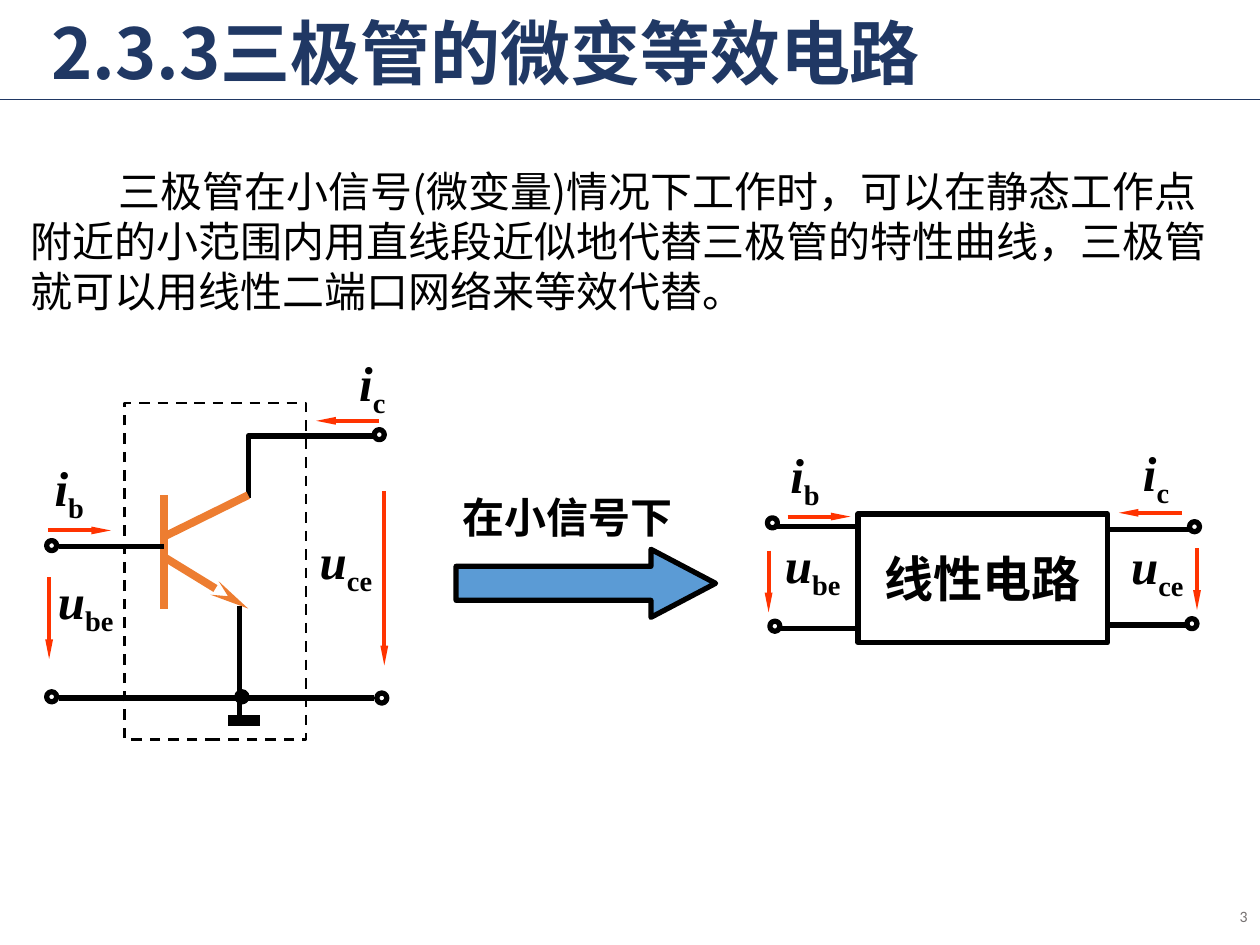
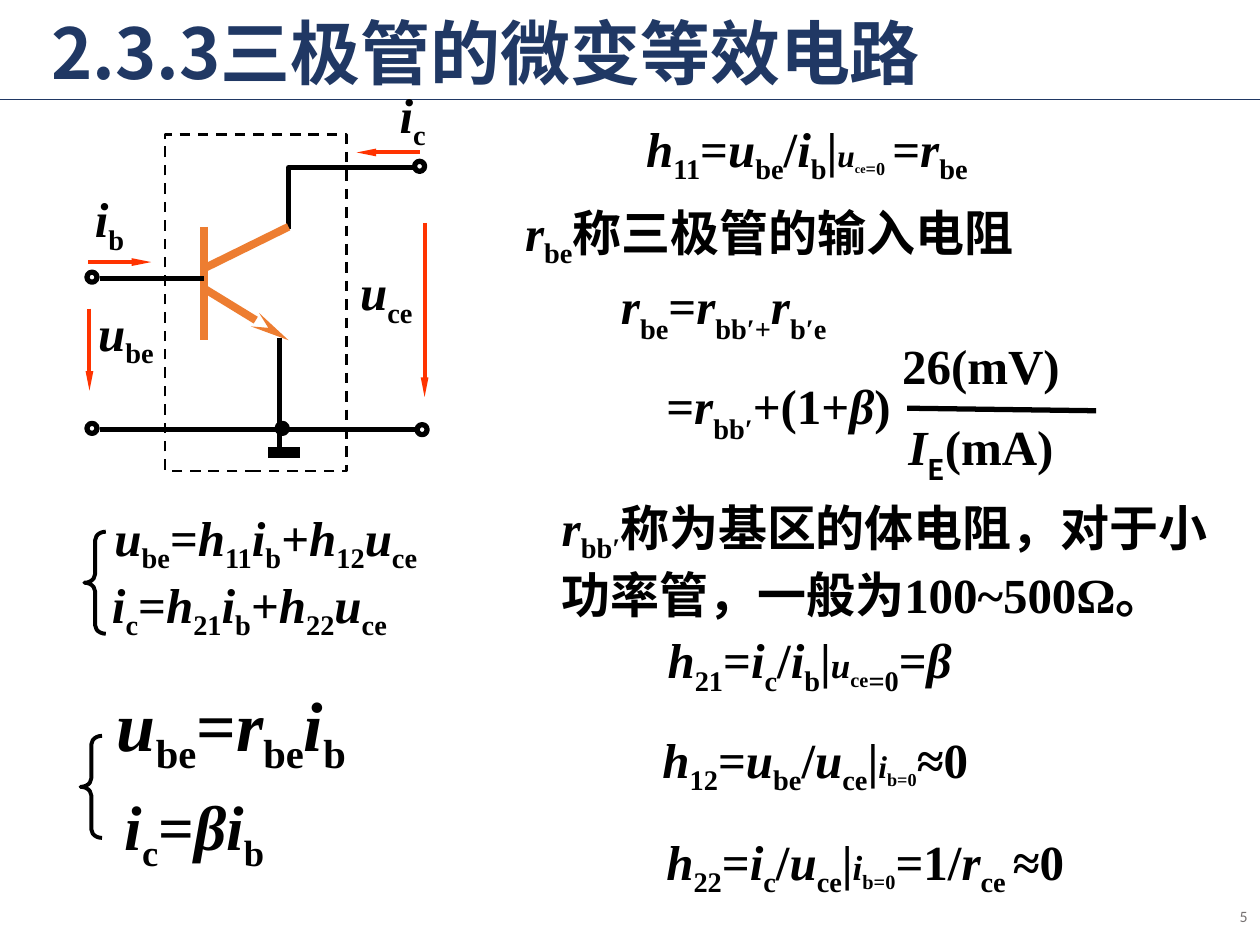
from lxml import etree
from pptx import Presentation, util as u
from pptx.dml.color import RGBColor
from pptx.enum import dml, shapes, text
from pptx.oxml.ns import qn

NAVY, BLACK, WHITE = "203864", "000000", "FFFFFF"
ORANGE, RED, BLUE, GRAY = "ED7D31", "FF3300", "5B9BD5", "767171"
SERIF, SANS = "Times New Roman", "Noto Sans CJK SC"
SHAPE, ALIGN = shapes.MSO_SHAPE, text.PP_ALIGN

TITLE = "2.3.3三极管的微变等效电路"
INTRO = ("三极管在小信号(微变量)情况下工作时，可以在静态工作点附近的小范围内用直线段"
         "近似地代替三极管的特性曲线，三极管就可以用线性二端口网络来等效代替。")

# Markup: * italic, _ subscript, ^ lower subscript, ! sans subscript, @ size, · space
STYLES = {
    "*": {"italic": True},
    "_": {"baseline": -25},
    "^": {"baseline": -30},
    "!": {"baseline": -30, "name": SANS},
}
IB, IC, UBE, UCE = "*i _b", "*i _c", "*u _be", "*u _ce"

TRANSISTOR_LINES = [
    (1.3, 3.93, 1.3, 4.83, ORANGE, 4.5, None),
    (1.3, 4.42, 1.97, 4.83, ORANGE, 4.5, "stealth"),
    (1.3, 4.26, 1.97, 3.93, ORANGE, 4.5, None),
    (1.3, 4.34, 0.47, 4.34, BLACK, 3, None),
    (0.47, 5.54, 2.97, 5.54, BLACK, 3, None),
    (1.81, 5.72, 2.06, 5.72, BLACK, 6, None),
    (1.9, 4.81, 1.9, 5.69, BLACK, 3, None),
    (0.39, 4.58, 0.39, 5.23, RED, 2.25, "triangle"),
    (3.05, 3.9, 3.05, 5.28, RED, 2.25, "triangle"),
    (0.38, 4.21, 0.88, 4.21, RED, 2.25, "triangle"),
    (3.01, 3.34, 2.51, 3.34, RED, 2.25, "triangle"),
]
COLLECTOR_WIRE = [(1.97, 3.95), (1.97, 3.46), (2.97, 3.46)]
TRANSISTOR_NODES = [(0.37, 4.29, WHITE), (2.99, 5.5, WHITE), (2.97, 3.41, WHITE),
                    (0.37, 5.49, WHITE), (1.88, 5.49, BLACK)]
TRANSISTOR_LABELS = [(2.57, 2.78, 0.77, IC), (2.42, 4.19, 0.65, UCE),
                     (0.34, 4.51, 0.68, UBE), (0.32, 3.61, 0.46, IB)]

TWO_PORT_LINES = [
    (6.17, 4.18, 6.81, 4.18, BLACK, 3, None),
    (6.17, 4.99, 6.81, 4.99, BLACK, 3, None),
    (8.79, 4.2, 9.44, 4.2, BLACK, 3, None),
    (8.8, 4.96, 9.45, 4.96, BLACK, 3, None),
    (6.1, 4.37, 6.1, 4.86, RED, 2.25, "triangle"),
    (9.5, 4.35, 9.5, 4.84, RED, 2.25, "triangle"),
    (6.25, 4.1, 6.75, 4.1, RED, 2.25, "triangle"),
    (9.38, 4.07, 8.88, 4.07, RED, 2.25, "triangle"),
]
TWO_PORT_NODES = [(6.09, 4.11, WHITE), (6.11, 4.93, WHITE),
                  (9.42, 4.91, WHITE), (9.44, 4.14, WHITE)]
TWO_PORT_LABELS = [(6.11, 4.22, 0.68, UBE), (8.86, 4.23, 0.65, UCE),
                   (6.16, 3.51, 0.46, IB), (8.79, 3.49, 0.77, IC)]

FORMULAS = [
    (0.81, 3.98, 3.1, 0.57, 28, "*u _be = *h _11 *i _b + *h _12 *u _ce"),
    (0.79, 4.51, 3.05, 0.57, 28, "*i _c = *h _21 *i _b + *h _22 *u _ce"),
    (0.83, 5.36, 3.1, 0.77, 40, "*u _be = *r _be *i _b"),
    (0.89, 6.2, 3.05, 0.71, 36, "*i _c = *βi _b"),
    (5.03, 0.89, 3.35, 0.57, 28,
     "*h _11 = *u _be / *i _b | *u@18 ^ce@12 _=0@18 _· = *r _be"),
    (4.07, 1.56, 4.27, 0.57, 28, "*r _be 称三极管的输入电阻"),
    (4.83, 2.14, 3.08, 0.57, 28, "*r ^be = *r ^bb′+ *r ^b′e"),
    (5.19, 2.93, 3.08, 0.57, 28, "= *r ^bb′ +(1+ *β )"),
    (4.36, 3.9, 5.45, 1.03, 28,
     "*r _bb′ 称为基区的体电阻，对于小功率管，一般为100~500Ω。"),
    (5.2, 4.95, 4.24, 0.57, 28, "*h _21 = *i _c / *i _b | *u@20 _ce@20 _=0 = *β"),
    (5.16, 5.74, 4.24, 0.57, 28, "*h _12 = *u _be / *u _ce | *i@18 _b=0@18 ≈0"),
    (5.19, 6.55, 4.24, 0.57, 28,
     "*h _22 = *i _c / *u _ce | *i@20 _b=0@20 =1/ *r _ce· ≈0"),
]
FRACTION = [(2.61, "26(mV)"), (3.26, "*I !E (mA)")]
BRACES = [(0.67, 4.22), (0.64, 5.84)]


def rgb(value):
    return RGBColor.from_string(value)


def stroke(line, color, width, dash=None):
    line.color.rgb = rgb(color)
    line.width = u.Pt(width)
    if dash:
        line.dash_style = dash


def add_run(p, content, baseline=0, **values):
    r = p.add_run()
    r.text = content
    color = values.pop("color")
    for name, value in values.items():
        setattr(r.font, name, value)
    r.font.color.rgb = rgb(color)
    rPr = r._r.get_or_add_rPr()
    if baseline:
        rPr.set("baseline", str(baseline * 1000))
    etree.SubElement(rPr, qn("a:ea")).set("typeface", SANS)


def add_markup(p, markup, size):
    for token in markup.split(" "):
        values = {"name": SERIF, "bold": True, "color": BLACK}
        if token[0] in STYLES:
            values.update(STYLES[token[0]])
            token = token[1:]
        content, _, own_size = token.partition("@")
        values["size"] = u.Pt(int(own_size or size))
        add_run(p, content.replace("·", " "), **values)


def add_box(s, x, y, w, h, align=ALIGN.LEFT, middle=False, wrap=True):
    tf = s.shapes.add_textbox(*map(u.Inches, (x, y, w, h))).text_frame
    tf.word_wrap = wrap
    tf.vertical_anchor = text.MSO_ANCHOR.MIDDLE if middle else text.MSO_ANCHOR.TOP
    p = tf.paragraphs[0]
    p.alignment = align
    return p


def add_line(s, x1, y1, x2, y2, color, width, tail=None):
    c = s.shapes.add_connector(shapes.MSO_CONNECTOR.STRAIGHT,
                               *map(u.Inches, (x1, y1, x2, y2)))
    stroke(c.line, color, width)
    if tail:
        end = etree.SubElement(c.line._get_or_add_ln(), qn("a:tailEnd"))
        for name, value in {"type": tail, "w": "sm", "len": "lg"}.items():
            end.set(name, value)
    etree.SubElement(c._element.spPr, qn("a:effectLst"))


def add_shape(s, kind, x, y, w, h, fill=None, width=3, dash=None, adj=()):
    sp = s.shapes.add_shape(kind, *map(u.Inches, (x, y, w, h)))
    sp.shadow.inherit = False
    if fill:
        sp.fill.solid()
        sp.fill.fore_color.rgb = rgb(fill)
    else:
        sp.fill.background()
    stroke(sp.line, BLACK, width, dash)
    for i, value in enumerate(adj):
        sp.adjustments[i] = value
    return sp


def add_circuit(s, lines, nodes, labels, dx=0, dy=0):
    for x1, y1, x2, y2, *look in lines:
        add_line(s, x1 + dx, y1 + dy, x2 + dx, y2 + dy, *look)
    for x, y, fill in nodes:
        add_shape(s, SHAPE.OVAL, x + dx, y + dy, 0.08, 0.08, fill)
    for x, y, w, markup in labels:
        p = add_box(s, x + dx, y + dy, w, 0.57, ALIGN.CENTER, True, False)
        add_markup(p, markup, 28)


def add_transistor(s, dx=0, dy=0):
    wire = [(u.Inches(x + dx), u.Inches(y + dy)) for x, y in COLLECTOR_WIRE]
    builder = s.shapes.build_freeform(*wire[0])
    builder.add_line_segments(wire[1:], close=False)
    sp = builder.convert_to_shape()
    sp.shadow.inherit = False
    sp.fill.background()
    stroke(sp.line, BLACK, 3)
    add_circuit(s, TRANSISTOR_LINES, TRANSISTOR_NODES, TRANSISTOR_LABELS, dx, dy)
    add_shape(s, SHAPE.RECTANGLE, 0.99 + dx, 3.2 + dy, 1.44, 2.67,
              width=1.5, dash=dml.MSO_LINE.DASH)


def add_slide(prs, number):
    s = prs.slides.add_slide(prs.slide_layouts[6])
    add_line(s, 0, 0.79, 10, 0.79, NAVY, 1)
    p = add_box(s, 0.31, 0.1, 7.25, 0.71)
    p.line_spacing = 0.9
    add_run(p, TITLE, name=SANS, size=u.Pt(40), bold=True, color=NAVY)
    p = add_box(s, 7.75, 7.07, 2.25, 0.4, ALIGN.RIGHT, True)
    add_run(p, number, name="Calibri", size=u.Pt(9), color=GRAY)
    return s


def build_model_slide(prs):
    s = add_slide(prs, "3")
    p = add_box(s, 0.14, 1.16, 9.71, 1.5, middle=True)
    p._p.get_or_add_pPr().set("indent", str(u.Inches(0.7)))
    add_run(p, INTRO, name=SANS, size=u.Pt(24), color=BLACK)
    add_transistor(s)
    sp = add_shape(s, SHAPE.RECTANGLE, 6.81, 4.08, 1.98, 1.02)
    sp.text_frame.word_wrap = False
    p = sp.text_frame.paragraphs[0]
    p.alignment = ALIGN.CENTER
    add_markup(p, "线性电路", 28)
    add_circuit(s, TWO_PORT_LINES, TWO_PORT_NODES, TWO_PORT_LABELS)
    add_markup(add_box(s, 3.57, 3.85, 2.59, 0.5), "在小信号下", 24)
    add_shape(s, SHAPE.RIGHT_ARROW, 3.62, 4.36, 2.06, 0.54, BLUE, adj=(0.5, 0.95))


def build_formula_slide(prs):
    s = add_slide(prs, "5")
    for x, y, w, h, size, markup in FORMULAS:
        add_markup(add_box(s, x, y, w, h), markup, size)
    for y, markup in FRACTION:
        add_markup(add_box(s, 6.87, y, 1.83, 0.57, ALIGN.CENTER), markup, 28)
    add_line(s, 7.2, 3.24, 8.7, 3.26, BLACK, 3)
    for x, y in BRACES:
        add_shape(s, SHAPE.LEFT_BRACE, x, y, 0.17, 0.81, width=2.25, adj=(0.4, 0.5))
    add_transistor(s, 0.32, -2.13)


def main():
    prs = Presentation()
    prs.slide_width, prs.slide_height = u.Inches(10), u.Inches(7.5)
    build_model_slide(prs)
    build_formula_slide(prs)
    prs.save("out.pptx")


if __name__ == "__main__":
    main()
